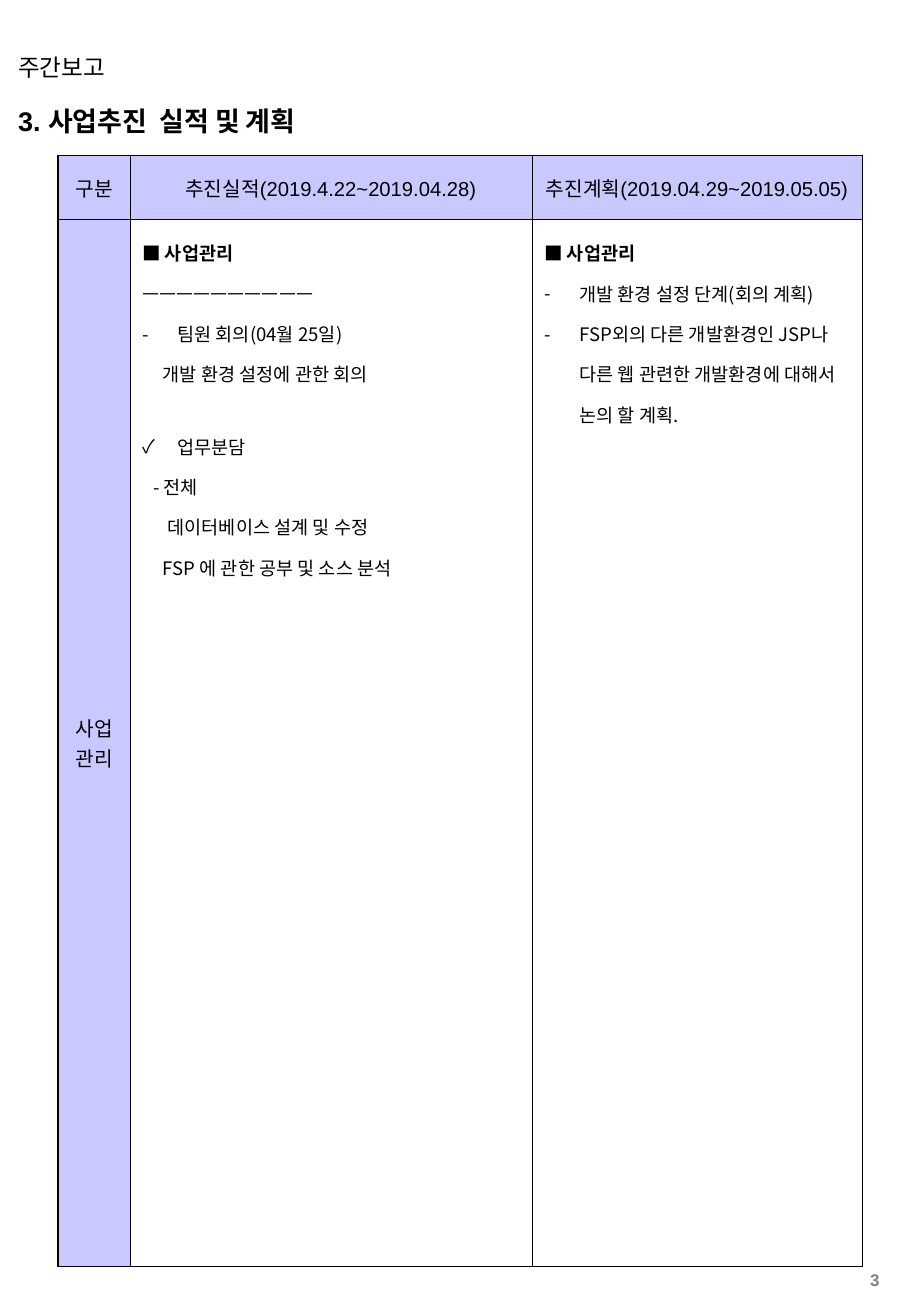
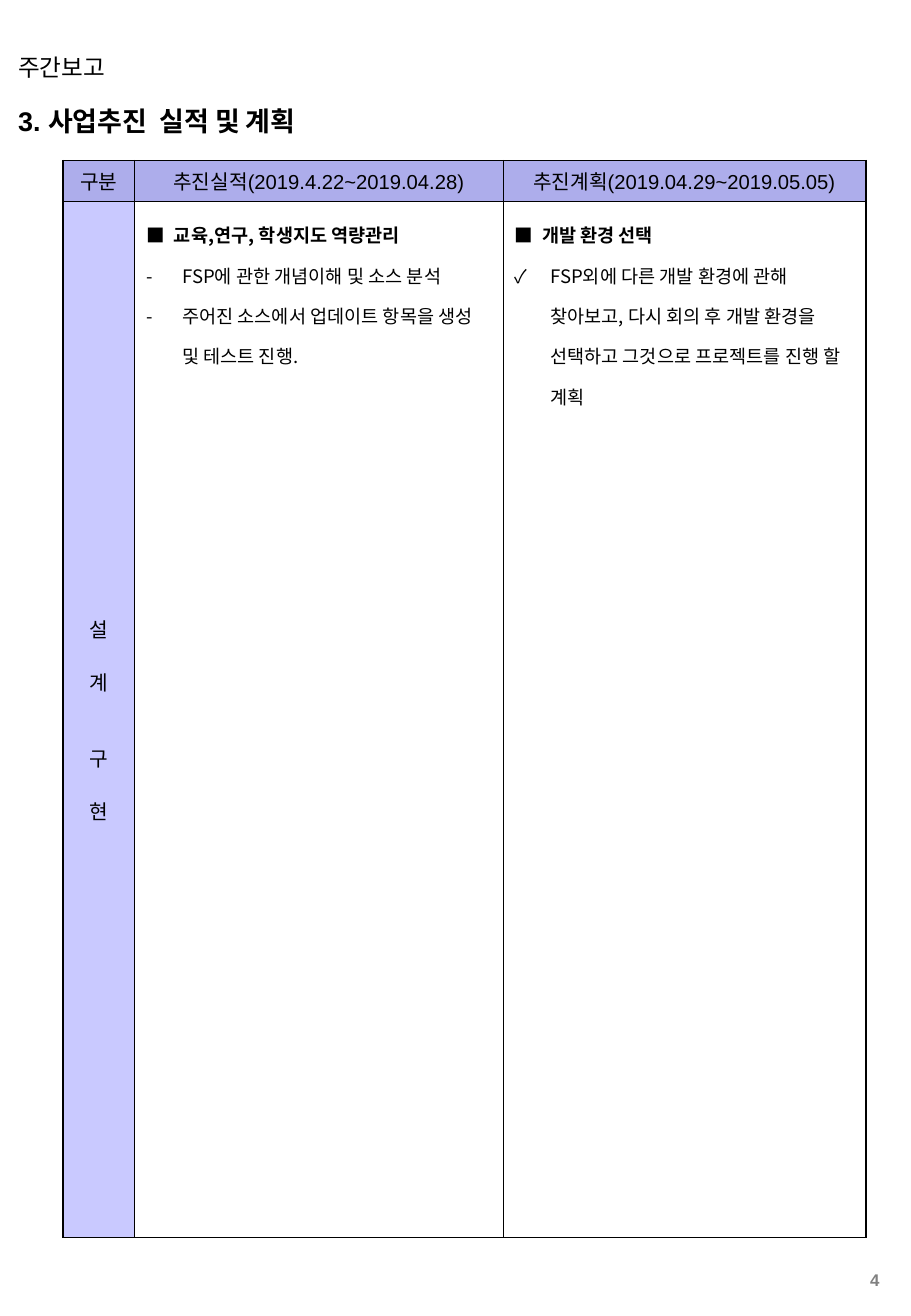
from lxml.etree import SubElement
from pptx import Presentation
from pptx.dml.color import RGBColor
from pptx.enum.text import MSO_ANCHOR as Anchor, MSO_AUTO_SIZE as AutoSize, PP_ALIGN as Align
from pptx.oxml.ns import qn
from pptx.util import Pt

PX = 9144
COLORS = {"ink": "000000", "number": "808080", "lilac": "C9C9FF", "violet": "ADADEB"}
LATIN, KOREAN = "Arial", "Noto Sans CJK KR"
THIN, THICK = 0.45, 1.08
HANG = 29

REPORT = "주간보고"
TITLE = "3. 사업추진  실적 및 계획"
HEADERS = ["구분", "추진실적(2019.4.22~2019.04.28)", "추진계획(2019.04.29~2019.05.05)"]

REPORT_BOX = (5, 38, 595, 34)
TITLE_BOX = (5, 81, 536, 37)
NUMBER_BOX = (678, 1042, 56, 24)

LINE_STYLES = {
    "heading": {"bold": True},
    "rule": {},
    "dash": {"bullet": "-"},
    "check": {"bullet": "✓"},
    "check_apart": {"bullet": "✓", "before": 19},
    "group": {"left": 9},
    "detail": {"left": 17},
    "deep": {"left": 21},
}

PAGES = [
    {
        "number": 3, "origin": (48, 128), "cols": [59, 331, 272], "rows": [50, 862],
        "header_fill": "lilac", "top": THICK,
        "category": [("사업", 0), ("관리", 0)],
        "results": [
            ("heading", "■ 사업관리"),
            ("rule", "ㅡㅡㅡㅡㅡㅡㅡㅡㅡㅡ"),
            ("dash", "팀원 회의(04월 25일)"),
            ("detail", "개발 환경 설정에 관한 회의"),
            ("check_apart", "업무분담"),
            ("group", "- 전체"),
            ("deep", "데이터베이스 설계 및 수정"),
            ("detail", "FSP 에 관한 공부 및 소스 분석"),
        ],
        "plans": [
            ("heading", "■ 사업관리"),
            ("dash", "개발 환경 설정 단계(회의 계획)"),
            ("dash", "FSP외의 다른 개발환경인 JSP나 다른 웹 관련한 개발환경에 대해서 논의 할 계획."),
        ],
    },
    {
        "number": 4, "origin": (52, 132), "cols": [59, 303, 299], "rows": [33, 853],
        "header_fill": "violet", "top": THIN,
        "category": [("설", 0), ("계", 14), ("구", 28), ("현", 14)],
        "results": [
            ("heading", "■  교육,연구, 학생지도 역량관리"),
            ("dash", "FSP에 관한 개념이해 및 소스 분석"),
            ("dash", "주어진 소스에서 업데이트 항목을 생성 및 테스트 진행."),
        ],
        "plans": [
            ("heading", "■  개발 환경 선택"),
            ("check", "FSP외에 다른 개발 환경에 관해 찾아보고, 다시 회의 후 개발 환경을 "
                      "선택하고 그것으로 프로젝트를 진행 할 계획"),
        ],
    },
]


def emu(*lengths):
    return [length * PX for length in lengths]


def write(paragraph, text, size, bold=False, color="ink", latin=LATIN, align=Align.LEFT):
    paragraph.text = text
    paragraph.alignment = align
    for run in paragraph.runs:
        font = run.font
        font.size, font.bold, font.name = Pt(size), bold, latin
        font.color.rgb = RGBColor.from_string(COLORS[color])
        SubElement(font._element, qn("a:ea"), typeface=KOREAN)


def place(shape, box):
    shape.left, shape.top, shape.width, shape.height = emu(*box)


def write_label(shape, text, size, **style):
    frame = shape.text_frame
    frame.word_wrap = True
    frame.auto_size = AutoSize.NONE
    frame.vertical_anchor = Anchor.MIDDLE
    write(frame.paragraphs[0], text, size, **style)


def paragraphs_for(cell, count):
    frame = cell.text_frame
    return [frame.paragraphs[0]] + [frame.add_paragraph() for _ in range(count - 1)]


def write_lines(cell, lines):
    for paragraph, (kind, text) in zip(paragraphs_for(cell, len(lines)), lines):
        style = LINE_STYLES[kind]
        write(paragraph, text, 11, bold=style.get("bold", False), latin=KOREAN)
        paragraph.line_spacing = 1.5
        paragraph.space_before = Pt(style.get("before", 0))
        props = paragraph._p.get_or_add_pPr()
        left = style.get("left", HANG)
        props.set("marL", str(left * PX))
        props.set("indent", str(0 if "left" in style else -HANG * PX))
        if "bullet" in style:
            bullet_color = SubElement(props, qn("a:buClr"))
            SubElement(bullet_color, qn("a:srgbClr"), val=COLORS["ink"])
            SubElement(props, qn("a:buFont"), typeface=KOREAN)
            SubElement(props, qn("a:buChar"), char=style["bullet"])


def write_category(cell, words):
    for paragraph, (word, gap) in zip(paragraphs_for(cell, len(words)), words):
        write(paragraph, word, 12, align=Align.CENTER)
        paragraph.space_before = Pt(gap)


def set_borders(cell, **widths):
    props = cell._tc.get_or_add_tcPr()
    for side in ("L", "R", "T", "B"):
        line = SubElement(props, qn(f"a:ln{side}"), w=str(Pt(widths.get(side, THIN))))
        fill = SubElement(line, qn("a:solidFill"))
        SubElement(fill, qn("a:srgbClr"), val=COLORS["ink"])


def add_report_table(slide, page):
    cols, rows = page["cols"], page["rows"]
    box = emu(*page["origin"], sum(cols), sum(rows))
    table = slide.shapes.add_table(len(rows), len(cols), *box).table
    table.first_row = table.horz_banding = False
    for column, width in zip(table.columns, emu(*cols)):
        column.width = width
    for row, height in zip(table.rows, emu(*rows)):
        row.height = height

    for r in range(len(rows)):
        for c in range(len(cols)):
            cell = table.cell(r, c)
            set_borders(cell, L=THIN if c else THICK, T=THIN if r else page["top"],
                        R=THICK if c == len(cols) - 1 else THIN)
            if r and c:
                cell.fill.background()
                continue
            cell.vertical_anchor = Anchor.MIDDLE
            cell.fill.solid()
            shade = "lilac" if r else page["header_fill"]
            cell.fill.fore_color.rgb = RGBColor.from_string(COLORS[shade])

    for c, header in enumerate(HEADERS):
        write(table.cell(0, c).text_frame.paragraphs[0], header, 12, align=Align.CENTER)
    write_category(table.cell(1, 0), page["category"])
    write_lines(table.cell(1, 1), page["results"])
    write_lines(table.cell(1, 2), page["plans"])


def main():
    deck = Presentation()
    deck.slide_width, deck.slide_height = emu(750, 1084)
    layout = deck.slide_layouts.get_by_name("Title Only")
    place(layout.placeholders[0], TITLE_BOX)
    for page in PAGES:
        slide = deck.slides.add_slide(layout)
        write_label(slide.shapes.title, TITLE, 16, bold=True)
        write_label(slide.shapes.add_textbox(*emu(*REPORT_BOX)), REPORT, 14)
        write_label(slide.shapes.add_textbox(*emu(*NUMBER_BOX)), str(page["number"]), 10,
                    bold=True, color="number", align=Align.RIGHT)
        add_report_table(slide, page)
    deck.save("out.pptx")


if __name__ == "__main__":
    main()
